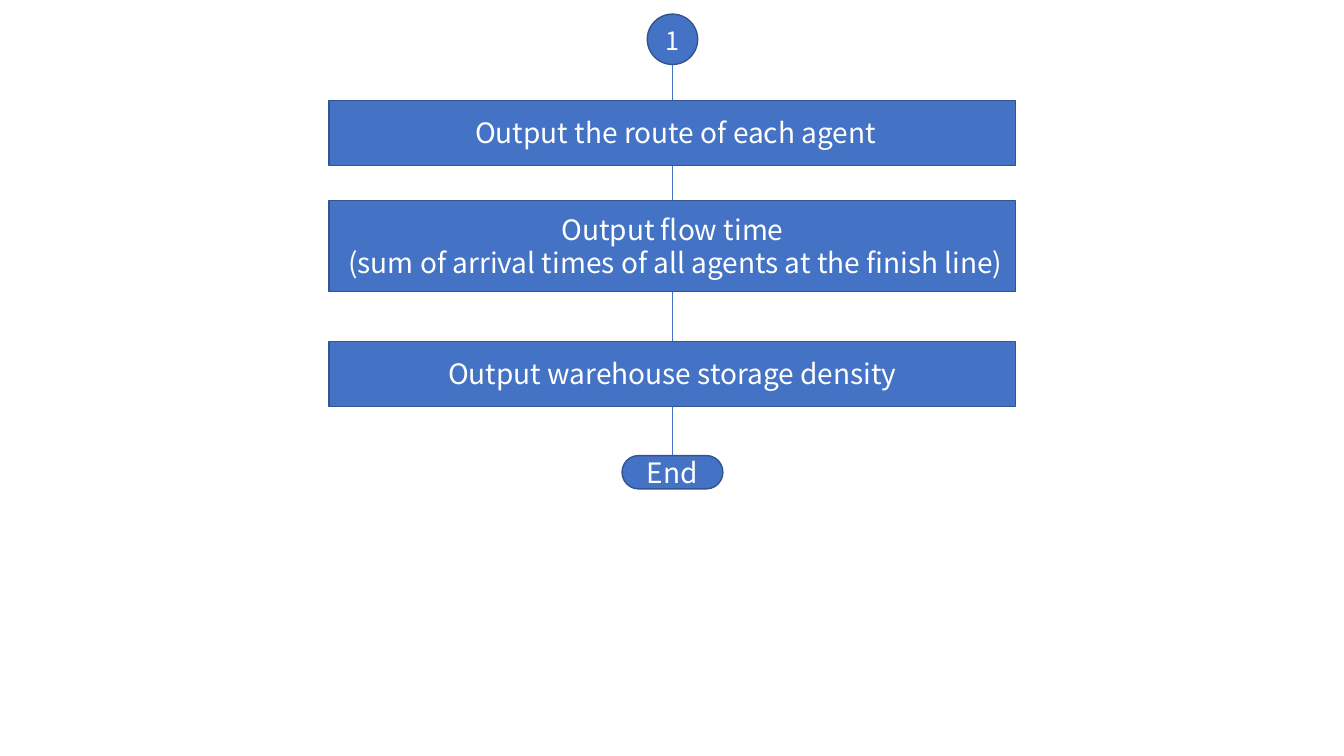
from pptx import Presentation
from pptx.dml.color import RGBColor
from pptx.enum.shapes import MSO_CONNECTOR, MSO_SHAPE
from pptx.enum.text import MSO_ANCHOR, PP_ALIGN
from pptx.oxml.ns import qn
from pptx.util import Inches, Pt
from lxml import etree

PROCESS = MSO_SHAPE.FLOWCHART_PROCESS
CIRCLE = MSO_SHAPE.FLOWCHART_CONNECTOR
TERMINATOR = MSO_SHAPE.FLOWCHART_TERMINATOR
STRAIGHT = MSO_CONNECTOR.STRAIGHT
MIDDLE = MSO_ANCHOR.MIDDLE
CENTER = PP_ALIGN.CENTER

THEME = {
    "font": "Noto Sans CJK JP",
    "fill": RGBColor(0x44, 0x72, 0xC4),
    "outline": RGBColor(0x32, 0x54, 0x91),
    "text": RGBColor(0xFF, 0xFF, 0xFF),
    "size": Pt(20),
    "small": Pt(18),
    "leading": Pt(23.5),
}

SLIDE_W = 13.33
CENTER_X = 6.67
STEP_W = 6.81

steps = [
    (CIRCLE, 0.14, 0.5, 0.5, "small", ["1"]),
    (PROCESS, 1, STEP_W, 0.64, "size", [" Output the route of each agent"]),
    (PROCESS, 1.99, STEP_W, 0.9, "size",
     ["Output flow time", " (sum of arrival times of all agents at the finish line)"]),
    (PROCESS, 3.39, STEP_W, 0.64, "size", ["Output warehouse storage density"]),
    (TERMINATOR, 4.52, 1, 0.33, "size", ["End"]),
]

prs = Presentation()
prs.slide_width = Inches(SLIDE_W)
prs.slide_height = Inches(7.5)
s = prs.slides.add_slide(prs.slide_layouts[6])

flow = s.shapes.add_connector(STRAIGHT, Inches(CENTER_X), Inches(0.64),
                              Inches(CENTER_X), Inches(4.52))
flow.line.color.rgb = THEME["fill"]
flow.line.width = Pt(0.5)
etree.SubElement(flow._element.spPr, qn("a:effectLst"))

for kind, top, width, height, size, lines in steps:
    sp = s.shapes.add_shape(kind, Inches(CENTER_X - width / 2), Inches(top),
                            Inches(width), Inches(height))
    sp.shadow.inherit = False
    sp.fill.solid()
    sp.fill.fore_color.rgb = THEME["fill"]
    sp.line.color.rgb = THEME["outline"]
    sp.line.width = Pt(1)
    tf = sp.text_frame
    tf.word_wrap = True
    tf.vertical_anchor = MIDDLE
    tf.text = "\n".join(lines)
    for p in tf.paragraphs:
        p.alignment = CENTER
        p.line_spacing = THEME["leading"]
        for r in p.runs:
            r.font.name = THEME["font"]
            r.font.size = THEME[size]
            r.font.color.rgb = THEME["text"]

prs.save("out.pptx")
